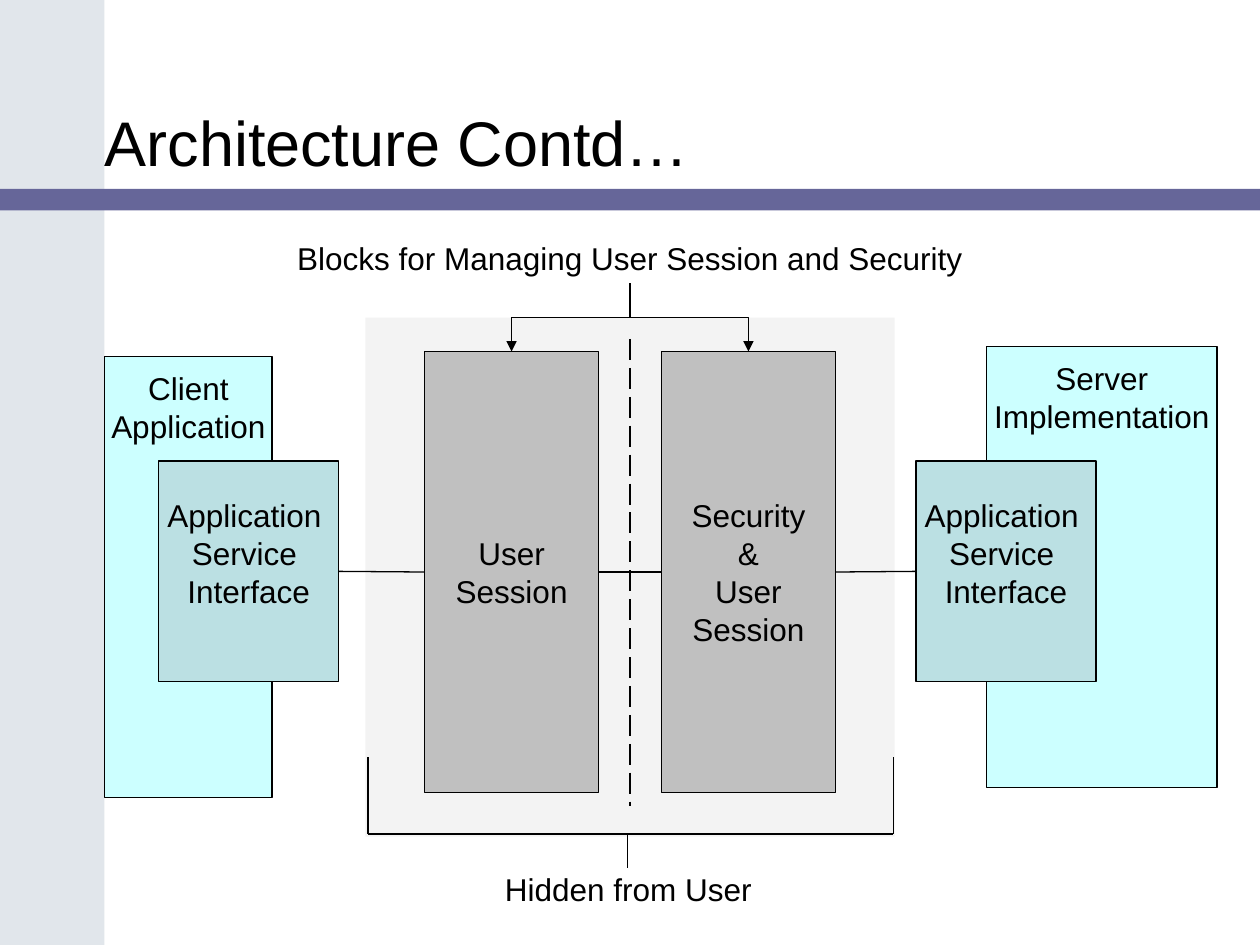
from pptx import Presentation, util as u
from pptx.dml import color
from pptx.enum import dml, shapes, text
from pptx.oxml import ns
from lxml import etree

BLACK = "000000"
CYAN, TEAL, GREY = "CCFFFF", "BBE0E3", "C0C0C0"
INTERFACE = "Application \nService \nInterface"


def rgb(value):
    """Turn a hex string into a colour."""
    return color.RGBColor.from_string(value)


def lengths(*values):
    """Turn numbers of inches into lengths."""
    return [u.Inches(value) for value in values]


def write(frame, words, size=18, align=text.PP_ALIGN.LEFT, **settings):
    """Fill a text frame, one paragraph for each line."""
    for name, value in settings.items():
        setattr(frame, name, value)
    for number, line in enumerate(words.split("\n")):
        para = frame.add_paragraph() if number else frame.paragraphs[0]
        para.alignment = align
        span = para.add_run()
        span.text = line
        for name, value in {"name": "Arial", "size": u.Pt(size)}.items():
            setattr(span.font, name, value)
        span.font.color.rgb = rgb(BLACK)


def add_panel(page, place, fill, kind=shapes.MSO_SHAPE.RECTANGLE):
    """Add a plain filled shape without an outline."""
    panel = page.shapes.add_shape(kind, *lengths(*place))
    panel.shadow.inherit = False
    panel.fill.solid()
    panel.fill.fore_color.rgb = rgb(fill)
    panel.line.fill.background()
    return panel


def add_box(page, place, fill, words, top=None):
    """Add an outlined box, its text centred or set down from the top."""
    box = add_panel(page, place, fill)
    box.line.color.rgb = rgb(BLACK)
    box.line.width = u.Pt(0.75)
    settings = {"word_wrap": False, "vertical_anchor": text.MSO_ANCHOR.MIDDLE}
    if top is not None:
        settings["vertical_anchor"] = text.MSO_ANCHOR.TOP
        settings["margin_top"] = u.Inches(top)
    write(box.text_frame, words, align=text.PP_ALIGN.CENTER, **settings)
    return box


def add_label(page, place, words):
    """Add a one-line text box."""
    label = page.shapes.add_textbox(*lengths(*place))
    write(label.text_frame, words, word_wrap=False,
          auto_size=text.MSO_AUTO_SIZE.SHAPE_TO_FIT_TEXT)


def add_line(page, start, end, width=0.75, kind=shapes.MSO_CONNECTOR.STRAIGHT):
    """Add a black connector between two points."""
    line = page.shapes.add_connector(kind, *lengths(*start, *end))
    line.line.color.rgb = rgb(BLACK)
    line.line.width = u.Pt(width)
    etree.SubElement(line.element.spPr, ns.qn("a:effectLst"))
    return line


def join(page, left, right):
    """Join the right side of one box to the left side of the next."""
    line = add_line(page, (0, 0), (1, 1))
    line.begin_connect(left, 3)
    line.end_connect(right, 1)


def add_branch(page, start, end):
    """Add an elbow arrow that leaves downwards and arrives downwards."""
    centre_x, centre_y = (start[0] + end[0]) / 2, (start[1] + end[1]) / 2
    side = 1 if end[0] < start[0] else -1
    half_run = side * (end[1] - start[1]) / 2
    half_rise = abs(end[0] - start[0]) / 2
    branch = add_line(page, (centre_x - half_run, centre_y - half_rise),
                      (centre_x + half_run, centre_y + half_rise),
                      kind=shapes.MSO_CONNECTOR.ELBOW)
    branch.element.spPr.find(ns.qn("a:xfrm")).set("rot", str(side % 4 * 5400000))
    outline = branch.line.fill and branch.element.spPr.find(ns.qn("a:ln"))
    etree.SubElement(outline, ns.qn("a:tailEnd"), type="triangle")


def add_frame(page):
    """Add the side band, the rule and the title."""
    add_panel(page, (0, 0, 0.83, 7.5), "E1E6EB")
    add_panel(page, (0, 1.5, 10, 0.17), "666699")
    title = page.shapes.title
    title.element.getparent().append(title.element)
    places = lengths(0.83, 0.17, 7.67, 1.25)
    for name, value in zip(("left", "top", "width", "height"), places):
        setattr(title, name, value)
    write(title.text_frame, "Architecture Contd…", 36,
          vertical_anchor=text.MSO_ANCHOR.BOTTOM,
          auto_size=text.MSO_AUTO_SIZE.NONE, margin_left=0, margin_right=0,
          margin_top=0, margin_bottom=0)


def add_bracket(page, left, right, top, bottom):
    """Add the bracket under the hidden blocks, with its stem."""
    for side in (left, right):
        add_line(page, (side, top), (side, bottom))
    add_line(page, (left, bottom), (right, bottom))
    add_line(page, (4.98, bottom), (4.98, 6.89))


def main():
    """Build the slide and save it."""
    deck = Presentation()
    deck.slide_width, deck.slide_height = lengths(10, 7.5)
    page = deck.slides.add_slide(deck.slide_layouts[5])
    add_frame(page)

    add_box(page, (7.83, 2.75, 1.83, 3.5), CYAN, "Server\nImplementation", 0.1)
    add_box(page, (0.83, 2.83, 1.33, 3.5), CYAN, "Client\nApplication", 0.1)
    hidden = add_panel(page, (2.9, 2.52, 4.2, 4.12), "EAEAEA")
    tint = hidden.element.spPr.find(ns.qn("a:solidFill"))[0]
    etree.SubElement(tint, ns.qn("a:alpha"), val="55000")

    chain = [
        add_box(page, (1.26, 3.66, 1.43, 1.75), TEAL, INTERFACE, 0.28),
        add_box(page, (3.37, 2.79, 1.38, 3.5), GREY, "User\nSession"),
        add_box(page, (5.25, 2.79, 1.38, 3.5), GREY,
                "Security\n&\nUser\nSession"),
        add_box(page, (7.27, 3.66, 1.43, 1.75), TEAL, INTERFACE, 0.28),
    ]
    for left, right in zip(chain, chain[1:]):
        join(page, left, right)

    add_label(page, (2.26, 1.85, 5.48, 0.4),
              "Blocks for Managing User Session and Security")
    add_bracket(page, 2.92, 7.09, 6.01, 6.62)
    add_label(page, (3.91, 6.86, 2.16, 0.4), "Hidden from User")
    divider = add_line(page, (5, 2.69), (5, 6.4), 1.5)
    divider.line.dash_style = dml.MSO_LINE.LONG_DASH
    for target in (4.06, 5.94):
        add_branch(page, (5, 2.25), (target, 2.79))
    deck.save("out.pptx")


if __name__ == "__main__":
    main()
